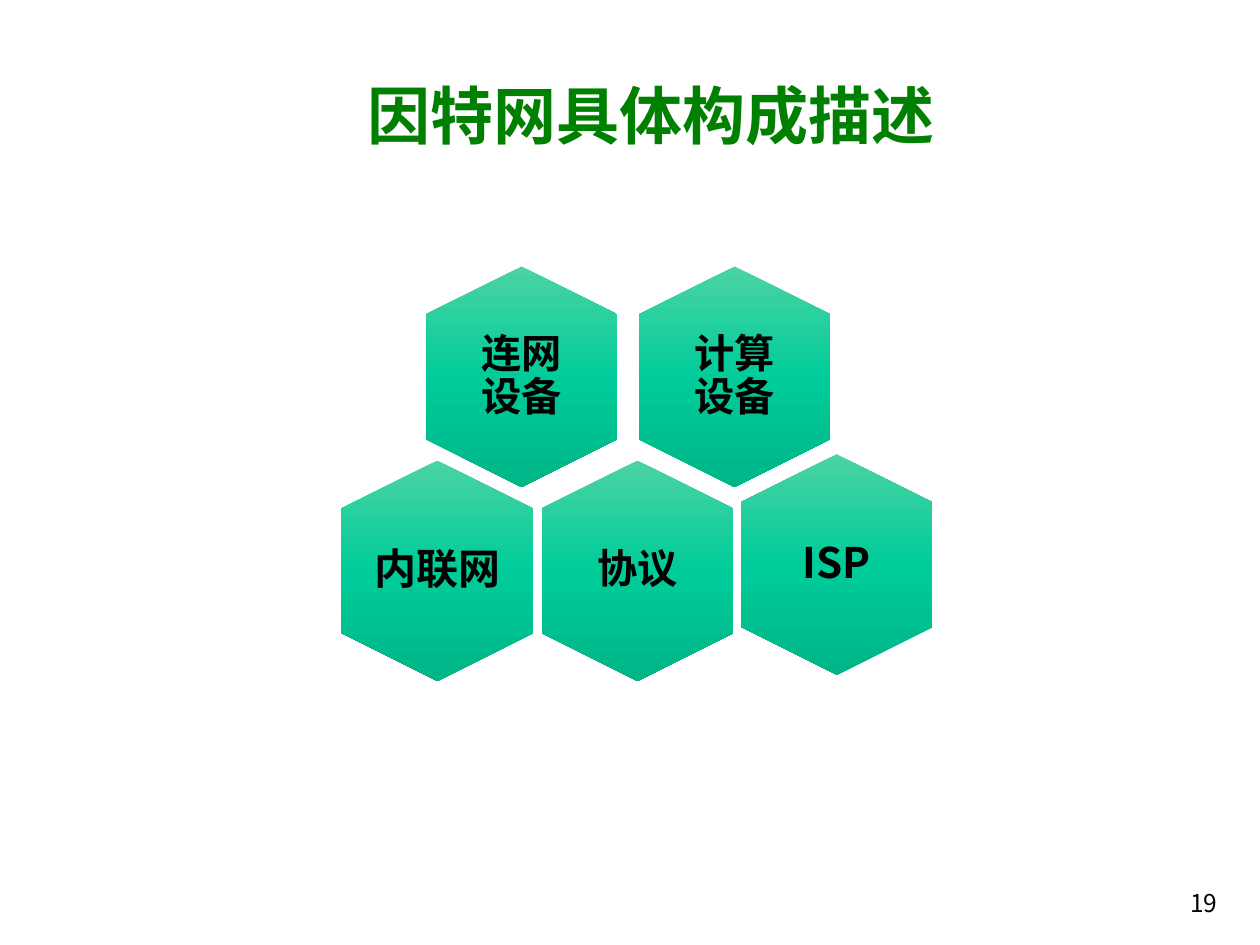
from dataclasses import dataclass

from lxml.etree import SubElement
from pptx import Presentation
from pptx.dml.color import RGBColor
from pptx.enum.shapes import MSO_SHAPE as Shape
from pptx.enum.text import MSO_ANCHOR as Anchor, PP_ALIGN as Align
from pptx.oxml import parse_xml
from pptx.oxml.ns import nsdecls, qn
from pptx.util import Inches, Pt


@dataclass(frozen=True)
class Theme:
    font: str = "Noto Sans CJK SC"
    title: str = "008000"
    text: str = "000000"
    gradient: tuple[str, ...] = ("4BD3A4", "00CC99", "00B588")
    title_size: int = 36
    number_size: int = 14


@dataclass(frozen=True)
class Cell:
    text: str
    cx: float
    cy: float
    size: int = 23
    inset: float = 0.1


THEME = Theme()
HEX_LENGTH, HEX_WIDTH = 1.75, 1.52
LABEL_WIDTH, LABEL_HEIGHT = 1.05, 1.2
TOP_Y, BOTTOM_Y = 2.99, 4.53
CELLS = (
    Cell("计算设备", 5.83, TOP_Y),
    Cell("连网设备", 4.14, TOP_Y),
    Cell("ISP", 6.64, 4.48, 24, 0),
    Cell("协议", 5.06, BOTTOM_Y),
    Cell("内联网", 3.47, BOTTOM_Y, 24, 0),
)


def add_text(slide, text: str, box: tuple[float, ...], size: int, color: str = THEME.text,
             bold: bool = False, align=Align.CENTER, anchor=Anchor.MIDDLE,
             inset: float | None = None, spacing: float = 1.0) -> None:
    tf = slide.shapes.add_textbox(*map(Inches, box)).text_frame
    tf.word_wrap = True
    tf.vertical_anchor = anchor
    if inset is not None:
        tf.margin_left = tf.margin_right = tf.margin_top = tf.margin_bottom = Inches(inset)
    tf.text = text
    p = tf.paragraphs[0]
    p.alignment, p.line_spacing = align, spacing
    font = p.runs[0].font
    font.name, font.size, font.bold = THEME.font, Pt(size), bold
    font.color.rgb = RGBColor.from_string(color)
    SubElement(p.runs[0]._r.get_or_add_rPr(), qn("a:ea"), typeface=THEME.font)


def set_gradient(sp, colors: tuple[str, ...]) -> None:
    step = 100000 // (len(colors) - 1)
    stops = "".join(f'<a:gs pos="{i * step}"><a:srgbClr val="{c}"/></a:gs>'
                    for i, c in enumerate(colors))
    sp.fill.background()
    no_fill = sp._element.spPr.find(qn("a:noFill"))
    no_fill.getparent().replace(no_fill, parse_xml(
        f'<a:gradFill {nsdecls("a")} rotWithShape="0"><a:gsLst>{stops}</a:gsLst>'
        '<a:lin ang="5400000" scaled="0"/></a:gradFill>'))


def add_cell(slide, cell: Cell) -> None:
    sp = slide.shapes.add_shape(
        Shape.HEXAGON, Inches(cell.cx - HEX_LENGTH / 2), Inches(cell.cy - HEX_WIDTH / 2),
        Inches(HEX_LENGTH), Inches(HEX_WIDTH))
    sp.adjustments[0] = 0.25
    sp.rotation = 90
    sp.shadow.inherit = False
    sp.line.fill.background()
    set_gradient(sp, THEME.gradient)
    box = (cell.cx - LABEL_WIDTH / 2, cell.cy - LABEL_HEIGHT / 2, LABEL_WIDTH, LABEL_HEIGHT)
    add_text(slide, cell.text, box, cell.size, bold=True, inset=cell.inset, spacing=0.9)


def main() -> None:
    """Build the slide on the parts that make up the Internet."""
    prs = Presentation()
    prs.slide_width, prs.slide_height = Inches(10), Inches(7.5)
    slide = prs.slides.add_slide(prs.slide_layouts[6])
    add_text(slide, "因特网具体构成描述", (0.58, 0.45, 9.18, 0.91),
             THEME.title_size, THEME.title, bold=True)
    add_text(slide, "19", (9.08, 7, 0.68, 0.5), THEME.number_size,
             align=Align.RIGHT, anchor=Anchor.TOP)
    for cell in CELLS:
        add_cell(slide, cell)
    prs.save("out.pptx")


if __name__ == "__main__":
    main()
